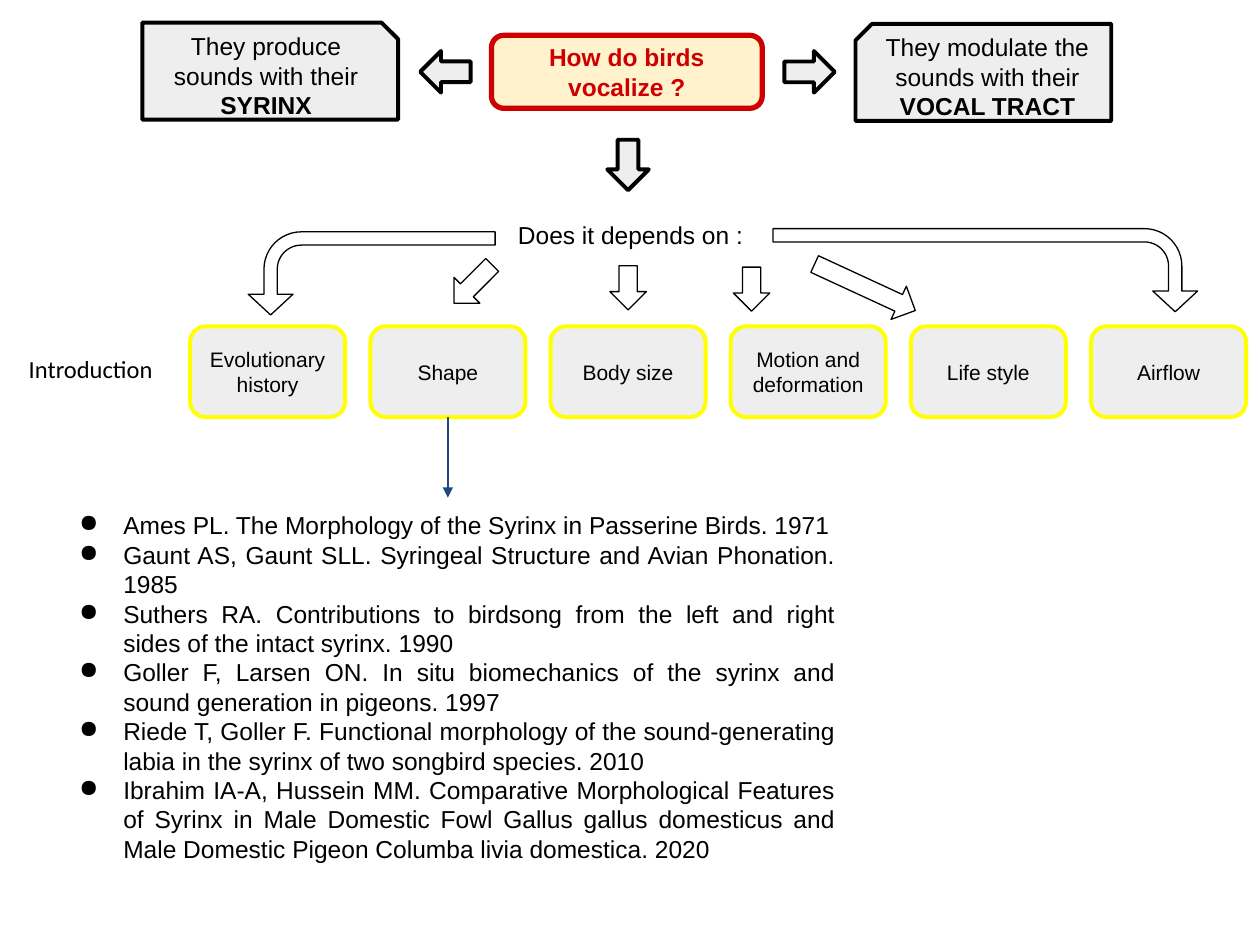
from lxml import etree
from pptx import Presentation
from pptx import util as u
from pptx.dml.color import RGBColor
from pptx.enum import shapes, text
from pptx.oxml.ns import qn

COLORS = {"black": "000000", "red": "CC0000", "cream": "FFF2CC",
          "grey": "EEEEEE", "yellow": "FFFF00", "navy": "1F497D"}
SHAPE, ALIGN = shapes.MSO_SHAPE, text.PP_ALIGN

deck = Presentation()
deck.slide_width, deck.slide_height = u.Inches(10), u.Inches(7.5)
slide = deck.slides.add_slide(deck.slide_layouts[6])
COL, ROW = deck.slide_width / 100, deck.slide_height / 75


def draw(kind, place, fill, line, width, adjust, turn=0):
    """Add a preset shape; place is left, top, width, height in columns and rows."""
    left, top, wide, high = place
    shape = slide.shapes.add_shape(kind, int(left * COL), int(top * ROW),
                                   int(wide * COL), int(high * ROW))
    shape.shadow.inherit = False
    shape.rotation = turn
    for i, value in enumerate(adjust):
        shape.adjustments[i] = value
    if fill:
        shape.fill.solid()
        shape.fill.fore_color.rgb = RGBColor.from_string(COLORS[fill])
    else:
        shape.fill.background()
    shape.line.color.rgb = RGBColor.from_string(COLORS[line])
    shape.line.width = u.Pt(width)
    return shape


def write(shape, paragraphs, size=14, font="Arial", color="black",
          align=ALIGN.CENTER, anchor=text.MSO_ANCHOR.MIDDLE):
    """Fill a shape with paragraphs; the part after a bar is bold."""
    frame = shape.text_frame
    frame.word_wrap = True
    frame.vertical_anchor = anchor
    frame.margin_left = frame.margin_right = int(COL)
    frame.margin_top = frame.margin_bottom = int(ROW)
    for i, words in enumerate(paragraphs):
        paragraph = frame.paragraphs[0] if i == 0 else frame.add_paragraph()
        paragraph.alignment = align
        for j, part in enumerate(words.split("|")):
            if part:
                run = paragraph.add_run()
                run.text = part
                run.font.size, run.font.name = u.Pt(size), font
                run.font.bold = j == 1
                run.font.color.rgb = RGBColor.from_string(COLORS[color])


# Question and its two direct answers
question = draw(SHAPE.ROUNDED_RECTANGLE, (39, 2.8, 21.5, 5.8), "cream", "red", 3, [0.17])
write(question, ["|How do birds vocalize ?"], color="red")
for left, top, words, mirrored in (
        (11.3, 1.8, "They produce sounds with their |SYRINX", False),
        (67.9, 1.9, "They modulate the sounds with their |VOCAL TRACT", True)):
    answer = draw(SHAPE.SNIP_1_RECTANGLE, (left, top, 20.3, 7.7), "grey", "black", 2.25, [0.17])
    if mirrored:
        answer._element.spPr.xfrm.set("flipH", "1")
    write(answer, [words])

for left, top, turn in ((33.7, 3.7, 90), (62.6, 3.7, 270), (48.2, 11.1, 0)):
    draw(SHAPE.DOWN_ARROW, (left, top, 3.3, 4), "grey", "black", 2.25, [0.5, 0.5], turn)

# Arrows from the sub-question to the factors
for place, turn in (((36.1, 20.4, 2.9, 4.3), 45), ((48.4, 21.1, 2.9, 3.5), 0),
                    ((58.2, 21.2, 2.9, 3.5), 0), ((67.2, 18.4, 2.9, 8.8), 294.8)):
    draw(SHAPE.DOWN_ARROW, place, None, "black", 0.75, [0.5, 0.5], turn)
for place, turn in (((74.9, 4.6, 6.6, 33.7), 90), ((26.2, 11.9, 6.6, 19.6), 270)):
    bend = draw(SHAPE.BENT_ARROW, place, None, "black", 0.75, [0.16, 0.27, 0.25, 0.45], turn)
    if turn == 270:
        bend._element.spPr.xfrm.set("flipH", "1")

# Row of factors, evenly spaced
FIRST, STEP, WIDE, TOP, HIGH = 15.1, 14.3, 12.3, 25.9, 7.2
factors = ["Evolutionary history", "Shape", "Body size",
           "Motion and deformation", "Life style", "Airflow"]
for i, factor in enumerate(factors):
    box = draw(SHAPE.ROUNDED_RECTANGLE, (FIRST + i * STEP, TOP, WIDE, HIGH),
               "grey", "yellow", 2.25, [0.17])
    write(box, [factor], size=12)

# Plain texts
references = [
    "Ames PL. The Morphology of the Syrinx in Passerine Birds. 1971",
    "Gaunt AS, Gaunt SLL. Syringeal Structure and Avian Phonation. 1985",
    "Suthers RA. Contributions to birdsong from the left and right sides of the intact syrinx. 1990",
    "Goller F, Larsen ON. In situ biomechanics of the syrinx and sound generation in pigeons. 1997",
    "Riede T, Goller F. Functional morphology of the sound-generating labia in the syrinx "
    "of two songbird species. 2010",
    "Ibrahim IA-A, Hussein MM. Comparative Morphological Features of Syrinx in Male Domestic Fowl "
    "Gallus gallus domesticus and Male Domestic Pigeon Columba livia domestica. 2020",
]
MIDDLE, UPPER = text.MSO_ANCHOR.MIDDLE, text.MSO_ANCHOR.TOP
for (left, top, wide, high), words, font, align, anchor in (
        ((38, 16.5, 24.1, 3.3), ["Does it depends on :"], "Arial", ALIGN.CENTER, UPPER),
        ((1.3, 26, 12, 6.6), ["Introduction"], "Calibri", ALIGN.LEFT, MIDDLE),
        ((3.8, 39.5, 63.5, 5.8), references, "Arial", ALIGN.JUSTIFY, UPPER)):
    block = slide.shapes.add_textbox(int(left * COL), int(top * ROW),
                                     int(wide * COL), int(high * ROW))
    write(block, words, font=font, align=align, anchor=anchor)

# The last block is the reference list
for paragraph in block.text_frame.paragraphs:
    props = paragraph._p.get_or_add_pPr()
    props.set("marL", str(int(5 * COL)))
    props.set("indent", str(int(-3.5 * COL)))
    bullet_color = etree.SubElement(props, qn("a:buClr"))
    etree.SubElement(bullet_color, qn("a:srgbClr"), val=COLORS["black"])
    etree.SubElement(props, qn("a:buChar"), char="●")

# Link from the Shape factor to its references
middle = int((FIRST + STEP + WIDE / 2) * COL)
link = slide.shapes.add_connector(shapes.MSO_CONNECTOR.STRAIGHT, middle,
                                  int((TOP + HIGH) * ROW), middle, int(39.5 * ROW))
link.line.color.rgb = RGBColor.from_string(COLORS["navy"])
link.line.width = u.Pt(0.75)
etree.SubElement(link.line._get_or_add_ln(), qn("a:tailEnd"), type="triangle")
etree.SubElement(link._element.spPr, qn("a:effectLst"))

deck.save("out.pptx")
